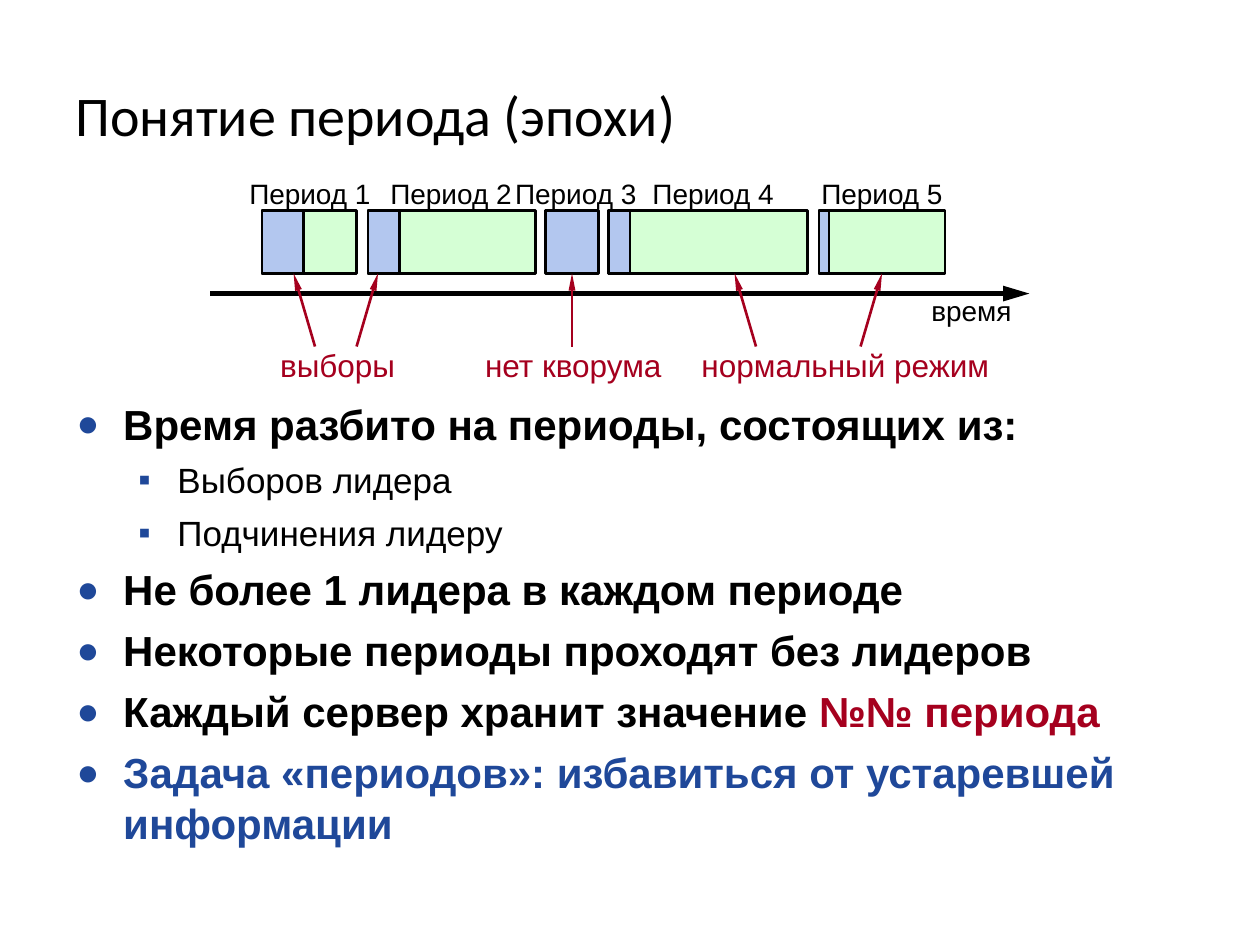
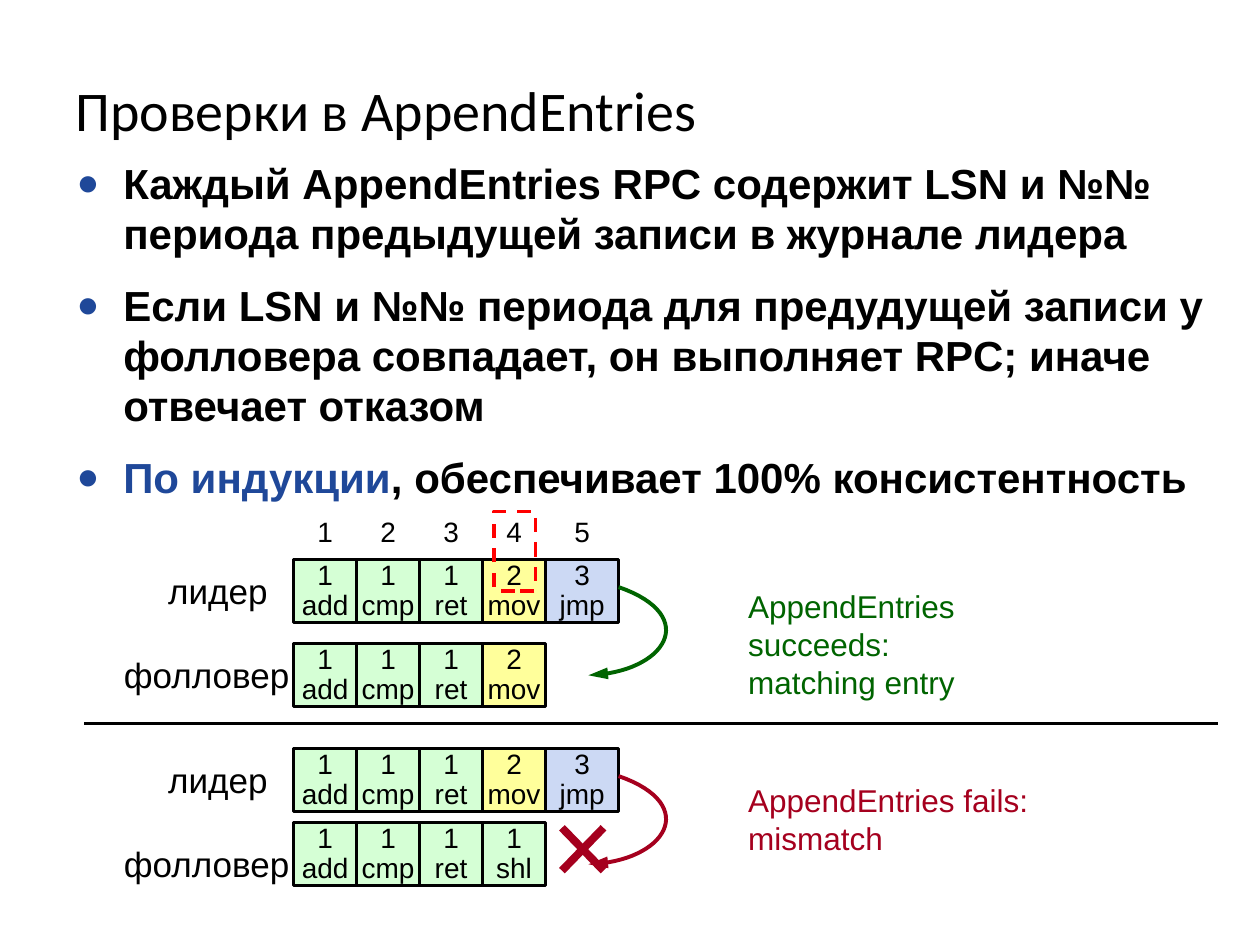
from dataclasses import dataclass
from typing import NamedTuple, Optional

from lxml.etree import SubElement
from pptx import Presentation
from pptx.dml.color import RGBColor
from pptx.enum.dml import MSO_LINE
from pptx.enum.shapes import MSO_CONNECTOR, MSO_SHAPE
from pptx.enum.text import MSO_ANCHOR, PP_ALIGN
from pptx.oxml.ns import qn
from pptx.util import Inches, Pt

BLACK, BLUE, CRIMSON, DARK_GREEN, RED = "000000", "1F4899", "A5001E", "006400", "FF0000"
ELECTION_FILL, NORMAL_FILL = "B3C7EF", "D5FFD5"
TERM_FILLS = {1: "D5FFD5", 2: "FFFF9B", 3: "CCD9F4"}
BODY_FONT, TITLE_FONT = "Arial", "Calibri"
PERIOD_TOP, PERIOD_HEIGHT = 1.67, 0.5
LOG_LEFT, CELL_SIZE, LAST_CELL_WIDTH = 2.33, 0.5, 0.58
LABEL_WIDTH = 2.5


class Box(NamedTuple):
    """Place of a shape in inches."""
    left: float
    top: float
    width: float
    height: float


class Span(NamedTuple):
    """Piece of text in one colour."""
    text: str
    color: str = BLACK


@dataclass(frozen=True)
class Bullet:
    """Body paragraph with its level and space before."""
    spans: tuple[Span, ...]
    level: int = 0
    before: int = 6


@dataclass(frozen=True)
class Level:
    """Look of one bullet level."""
    mark: str
    mark_percent: int
    margin: float
    hanging: float
    size: int
    bold: bool


@dataclass(frozen=True)
class Period:
    """Period on the time axis, with its election part."""
    left: float
    width: float
    election: float
    label_center: float


@dataclass(frozen=True)
class Pointer:
    """Arrow from a caption to the periods."""
    start: float
    end: float
    period: Optional[int] = None


@dataclass(frozen=True)
class Caption:
    """Caption under the axis with its pointers."""
    text: str
    center: float
    pointers: tuple[Pointer, ...]


class Entry(NamedTuple):
    """Log entry: term number and command."""
    term: int
    command: str


@dataclass(frozen=True)
class LogRow:
    """Log of one server."""
    server: str
    label_center: float
    top: float
    label_top: float
    entries: tuple[Entry, ...]


@dataclass(frozen=True)
class Outcome:
    """Result of a request: arrow and note."""
    arrow_top: float
    note_top: float
    color: str
    lines: tuple[str, ...]


LEVELS = (
    Level("●", 90, 0.38, 0.37, 24, True),
    Level("▪", 100, 0.81, 0.31, 20, False),
)
PERIOD_BULLETS = (
    Bullet((Span("Время разбито на периоды, состоящих из:"),), before=12),
    Bullet((Span("Выборов лидера"),), level=1),
    Bullet((Span("Подчинения лидеру"),), level=1),
    Bullet((Span("Не более 1 лидера в каждом периоде"),)),
    Bullet((Span("Некоторые периоды проходят без лидеров"),)),
    Bullet((Span("Каждый сервер хранит значение "), Span("№№ периода", CRIMSON))),
    Bullet((Span("Задача «периодов»: избавиться от устаревшей информации", BLUE),)),
)
CHECK_BULLETS = (
    Bullet((Span("Каждый AppendEntries RPC содержит LSN и №№ периода "
                 "предыдущей записи в журнале лидера"),), before=12),
    Bullet((Span("Если LSN и №№ периода для предудущей записи у фолловера "
                 "совпадает, он выполняет RPC; иначе отвечает отказом"),), before=12),
    Bullet((Span("По индукции", BLUE),
            Span(", обеспечивает 100% консистентность")), before=12),
)
PERIODS = (
    Period(2.08, 0.75, 0.33, 2.46),
    Period(2.92, 1.33, 0.25, 3.58),
    Period(4.33, 0.42, 0.42, 4.57),
    Period(4.83, 1.58, 0.17, 5.66),
    Period(6.5, 1, 0.08, 7),
)
CAPTIONS = (
    Caption("выборы", 2.68, (Pointer(2.5, 2.33), Pointer(2.83, 3))),
    Caption("нет кворума", 4.55, (Pointer(4.54, 4.54, period=2),)),
    Caption("нормальный режим", 6.71, (Pointer(6, 5.83), Pointer(6.83, 7, period=4))),
)
SHARED_ENTRIES = (Entry(1, "add"), Entry(1, "cmp"), Entry(1, "ret"))
MATCHING_LOG = SHARED_ENTRIES + (Entry(2, "mov"),)
LEADER_LOG = MATCHING_LOG + (Entry(3, "jmp"),)
MISMATCHED_LOG = SHARED_ENTRIES + (Entry(1, "shl"),)
LOG_ROWS = (
    LogRow("лидер", 1.73, 4.44, 4.52, LEADER_LOG),
    LogRow("фолловер", 1.64, 5.11, 5.19, MATCHING_LOG),
    LogRow("лидер", 1.73, 5.94, 6.02, LEADER_LOG),
    LogRow("фолловер", 1.64, 6.53, 6.69, MISMATCHED_LOG),
)
OUTCOMES = (
    Outcome(4.66, 4.61, DARK_GREEN, ("AppendEntries succeeds:", "matching entry")),
    Outcome(6.16, 6.15, CRIMSON, ("AppendEntries fails:", "mismatch")),
)


def rgb(color: str) -> RGBColor:
    """Turn a hex string into a colour."""
    return RGBColor.from_string(color)


def set_font(paragraph, size: int, color: str = BLACK, name: str = BODY_FONT,
             bold: bool = False) -> None:
    """Set the font of a whole paragraph."""
    font = paragraph.font
    font.name, font.size, font.bold = name, Pt(size), bold
    font.color.rgb = rgb(color)


def set_line(shape, color: str, width: float, arrow: Optional[str] = None) -> None:
    """Set a line, with an arrowhead of the given width at its end if asked."""
    shape.line.color.rgb = rgb(color)
    shape.line.width = Pt(width)
    if arrow:
        outline = shape.element.spPr.find(qn("a:ln"))
        SubElement(outline, qn("a:tailEnd"), type="triangle", w=arrow, len="lg")


def add_text_frame(slide, box: Box, inset: bool = True, wrap: bool = True):
    """Add a text box and return its frame."""
    frame = slide.shapes.add_textbox(*map(Inches, box)).text_frame
    frame.word_wrap = wrap
    if not inset:
        clear_margins(frame)
    return frame


def clear_margins(frame) -> None:
    """Remove the inner margins of a text frame."""
    frame.margin_left = frame.margin_right = 0
    frame.margin_top = frame.margin_bottom = 0


def add_label(slide, text: str, center: float, top: float, size: int,
              color: str = BLACK) -> None:
    """Add a one-line label around a centre."""
    box = Box(center - LABEL_WIDTH / 2, top, LABEL_WIDTH, size / 60)
    label = add_text_frame(slide, box, inset=False, wrap=False)
    paragraph = label.paragraphs[0]
    paragraph.text = text
    paragraph.alignment = PP_ALIGN.CENTER
    set_font(paragraph, size, color)


def add_title(slide, text: str, top: float) -> None:
    """Add the slide title."""
    title = add_text_frame(slide, Box(0.5, top, 9, 0.67))
    title.vertical_anchor = MSO_ANCHOR.MIDDLE
    title.paragraphs[0].text = text
    set_font(title.paragraphs[0], 32, name=TITLE_FONT)


def add_bullets(slide, box: Box, bullets: tuple[Bullet, ...]) -> None:
    """Add the bulleted body text."""
    body = add_text_frame(slide, box)
    for index, bullet in enumerate(bullets):
        paragraph = body.add_paragraph() if index else body.paragraphs[0]
        level = LEVELS[bullet.level]
        properties = paragraph._p.get_or_add_pPr()
        properties.set("marL", str(Inches(level.margin)))
        properties.set("indent", str(-Inches(level.hanging)))
        mark_color = SubElement(properties, qn("a:buClr"))
        SubElement(mark_color, qn("a:srgbClr"), val=BLUE)
        SubElement(properties, qn("a:buSzPct"), val=str(level.mark_percent * 1000))
        SubElement(properties, qn("a:buFont"), typeface=BODY_FONT)
        SubElement(properties, qn("a:buChar"), char=level.mark)
        paragraph.level = bullet.level
        paragraph.space_before = Pt(bullet.before)
        set_font(paragraph, level.size, bold=level.bold)
        for span in bullet.spans:
            run = paragraph.add_run()
            run.text = span.text
            run.font.color.rgb = rgb(span.color)


def add_block(slide, box: Box, fill: Optional[str], line: str = BLACK,
              width: float = 1.5):
    """Add a rectangle."""
    block = slide.shapes.add_shape(MSO_SHAPE.RECTANGLE, *map(Inches, box))
    block.shadow.inherit = False
    if fill:
        block.fill.solid()
        block.fill.fore_color.rgb = rgb(fill)
    else:
        block.fill.background()
    set_line(block, line, width)
    return block


def add_straight(shapes, start: tuple[float, float], end: tuple[float, float],
                 color: str, width: float, arrow: Optional[str] = None):
    """Add a straight connector."""
    connector = shapes.add_connector(MSO_CONNECTOR.STRAIGHT, *map(Inches, start + end))
    set_line(connector, color, width, arrow)
    SubElement(connector.element.spPr, qn("a:effectLst"))
    return connector


def add_period(slide, period: Period, number: int):
    """Draw a period with its election part and return its whole block."""
    whole = Box(period.left, PERIOD_TOP, period.width, PERIOD_HEIGHT)
    elections_only = period.election == period.width
    block = add_block(slide, whole, ELECTION_FILL if elections_only else NORMAL_FILL)
    if not elections_only:
        add_block(slide, whole._replace(width=period.election), ELECTION_FILL)
    add_label(slide, f"Период {number}", period.label_center, 1.4, 16)
    return block


def add_log(slide, row: LogRow) -> None:
    """Draw one server's log."""
    add_label(slide, row.server, row.label_center, row.label_top, 20)
    for index, entry in enumerate(row.entries):
        width = LAST_CELL_WIDTH if index == len(LEADER_LOG) - 1 else CELL_SIZE
        box = Box(LOG_LEFT + index * CELL_SIZE, row.top, width, CELL_SIZE)
        frame = add_block(slide, box, TERM_FILLS[entry.term]).text_frame
        clear_margins(frame)
        frame.vertical_anchor = MSO_ANCHOR.MIDDLE
        paragraph = frame.paragraphs[0]
        paragraph.alignment = PP_ALIGN.CENTER
        paragraph.line_spacing = Pt(17)
        set_font(paragraph, 16)
        paragraph.add_run().text = str(entry.term)
        paragraph.add_line_break()
        paragraph.add_run().text = entry.command


def add_outcome(slide, outcome: Outcome, steps: int = 32) -> None:
    """Draw the curved request arrow and its note."""
    controls = ((4.91, 0), (5.57, 0.23), (5.28, 0.68), (4.67, 0.7))
    points = []
    for step in range(steps + 1):
        t = step / steps
        weights = ((1 - t) ** 3, 3 * t * (1 - t) ** 2, 3 * t ** 2 * (1 - t), t ** 3)
        x, y = (sum(w * c[axis] for w, c in zip(weights, controls)) for axis in (0, 1))
        points.append((Inches(x), Inches(outcome.arrow_top + y)))
    builder = slide.shapes.build_freeform(*points[0])
    builder.add_line_segments(points[1:], close=False)
    request = builder.convert_to_shape()
    request.shadow.inherit = False
    request.fill.background()
    set_line(request, outcome.color, 2.25, arrow="med")
    note = add_text_frame(slide, Box(5.84, outcome.note_top, 2.5, 0.7))
    for index, text in enumerate(outcome.lines):
        paragraph = note.add_paragraph() if index else note.paragraphs[0]
        paragraph.text = text
        set_font(paragraph, 18, outcome.color)


def build_periods(slide) -> None:
    """Build the slide on periods."""
    add_title(slide, "Понятие периода (эпохи)", 0.57)
    add_bullets(slide, Box(0.5, 3.11, 9, 3.2), PERIOD_BULLETS)
    add_straight(slide.shapes, (1.67, 2.33), (8.17, 2.33), BLACK, 3, arrow="med")
    add_label(slide, "время", 7.71, 2.33, 16)
    blocks = [add_period(slide, period, n) for n, period in enumerate(PERIODS, 1)]
    for caption in CAPTIONS:
        add_label(slide, caption.text, caption.center, 2.75, 18, CRIMSON)
        for pointer in caption.pointers:
            arrow = add_straight(slide.shapes, (pointer.start, 2.75),
                                 (pointer.end, PERIOD_TOP + PERIOD_HEIGHT),
                                 CRIMSON, 1.5, arrow="sm")
            if pointer.period is not None:
                arrow.end_connect(blocks[pointer.period], 2)


def build_checks(slide) -> None:
    """Build the slide on request checks."""
    add_title(slide, "Проверки в AppendEntries", 0.53)
    add_bullets(slide, Box(0.5, 1.2, 9.21, 2.67), CHECK_BULLETS)
    for index in range(len(LEADER_LOG)):
        width = LAST_CELL_WIDTH if index == len(LEADER_LOG) - 1 else CELL_SIZE
        center = LOG_LEFT + index * CELL_SIZE + width / 2
        add_label(slide, str(index + 1), center, 4.08, 16)
    for row in LOG_ROWS:
        add_log(slide, row)
    for outcome in OUTCOMES:
        add_outcome(slide, outcome)
    cross = slide.shapes.add_group_shape()
    for start, end in ((6.57, 6.91), (6.91, 6.57)):
        add_straight(cross.shapes, (4.46, start), (4.79, end), CRIMSON, 4.5)
    previous_entry = add_block(slide, Box(3.92, 4.06, 0.33, 0.63), None, RED, 2)
    previous_entry.line.dash_style = MSO_LINE.DASH
    add_straight(slide.shapes, (0.67, 5.74), (9.67, 5.74), BLACK, 1.5)


def main() -> None:
    """Build and save the presentation."""
    presentation = Presentation()
    presentation.slide_width, presentation.slide_height = Inches(10), Inches(7.5)
    for build in (build_periods, build_checks):
        build(presentation.slides.add_slide(presentation.slide_layouts[6]))
    presentation.save("out.pptx")


if __name__ == "__main__":
    main()
